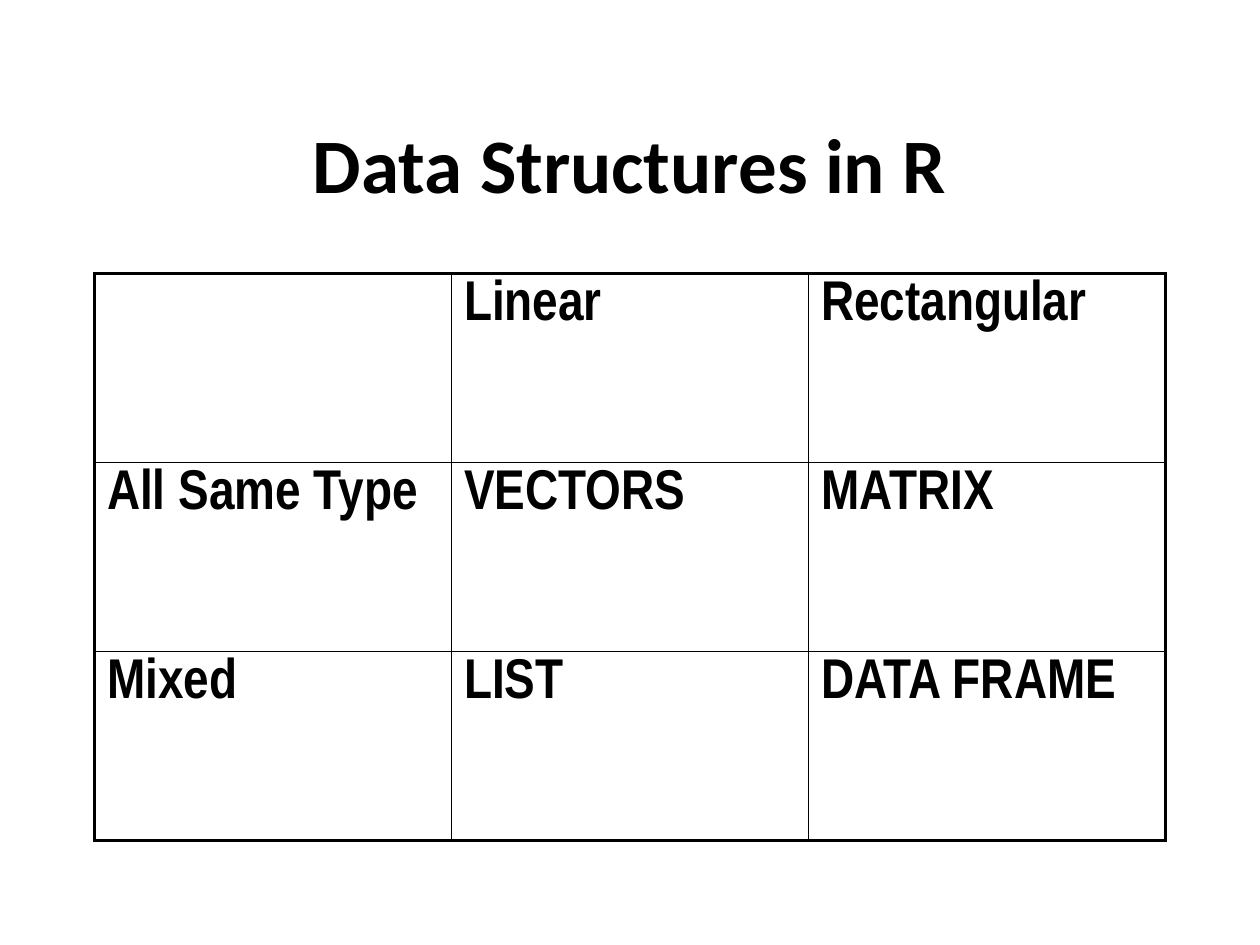
from lxml import etree
from pptx import Presentation
from pptx.dml.color import RGBColor
from pptx.enum.text import MSO_ANCHOR, PP_ALIGN
from pptx.oxml.ns import qn
from pptx.util import Inches, Pt

BLACK = RGBColor(0, 0, 0)
THICK, THIN = Pt(2.25), Pt(1)
ROWS = [
    ["", "Linear", "Rectangular"],
    ["All Same Type", "VECTORS", "MATRIX"],
    ["Mixed", "LIST", "DATA FRAME"],
]


def write(tf, text, *, font, size, bold=True, color=BLACK, align=PP_ALIGN.LEFT):
    p = tf.paragraphs[0]
    p.alignment = align
    r = p.add_run()
    r.text = text
    r.font.name = font
    r.font.size = Pt(size)
    r.font.bold = bold
    r.font.color.rgb = color


def add_border(cell, side, width):
    """Add a solid black border; side is L, R, T or B."""
    tc_pr = cell._tc.get_or_add_tcPr()
    ln = etree.SubElement(tc_pr, qn(f"a:ln{side}"), w=str(width))
    fill = etree.SubElement(ln, qn("a:solidFill"))
    etree.SubElement(fill, qn("a:srgbClr"), val=str(BLACK))


prs = Presentation()
prs.slide_width, prs.slide_height = Inches(10), Inches(7.5)
s = prs.slides.add_slide(prs.slide_layouts[5])

title = s.shapes.title
title.left, title.top = Inches(0.75), Inches(0.67)
title.width, title.height = Inches(8.5), Inches(1.25)
title.text_frame.vertical_anchor = MSO_ANCHOR.MIDDLE
write(title.text_frame, "Data Structures in R", font="Calibri", size=44,
      align=PP_ALIGN.CENTER)

n_rows, n_cols = len(ROWS), len(ROWS[0])
table = s.shapes.add_table(n_rows, n_cols, Inches(0.75), Inches(2.17),
                           Inches(8.5), Inches(4.5)).table
table.first_row = table.horz_banding = False

for i, row in enumerate(ROWS):
    for j, text in enumerate(row):
        cell = table.cell(i, j)
        outer = {"L": j == 0, "R": j == n_cols - 1,
                 "T": i == 0, "B": i == n_rows - 1}
        for side, is_outer in outer.items():
            add_border(cell, side, THICK if is_outer else THIN)
        cell.fill.background()
        if text:
            write(cell.text_frame, text, font="Arial Narrow", size=32)

prs.save("out.pptx")
